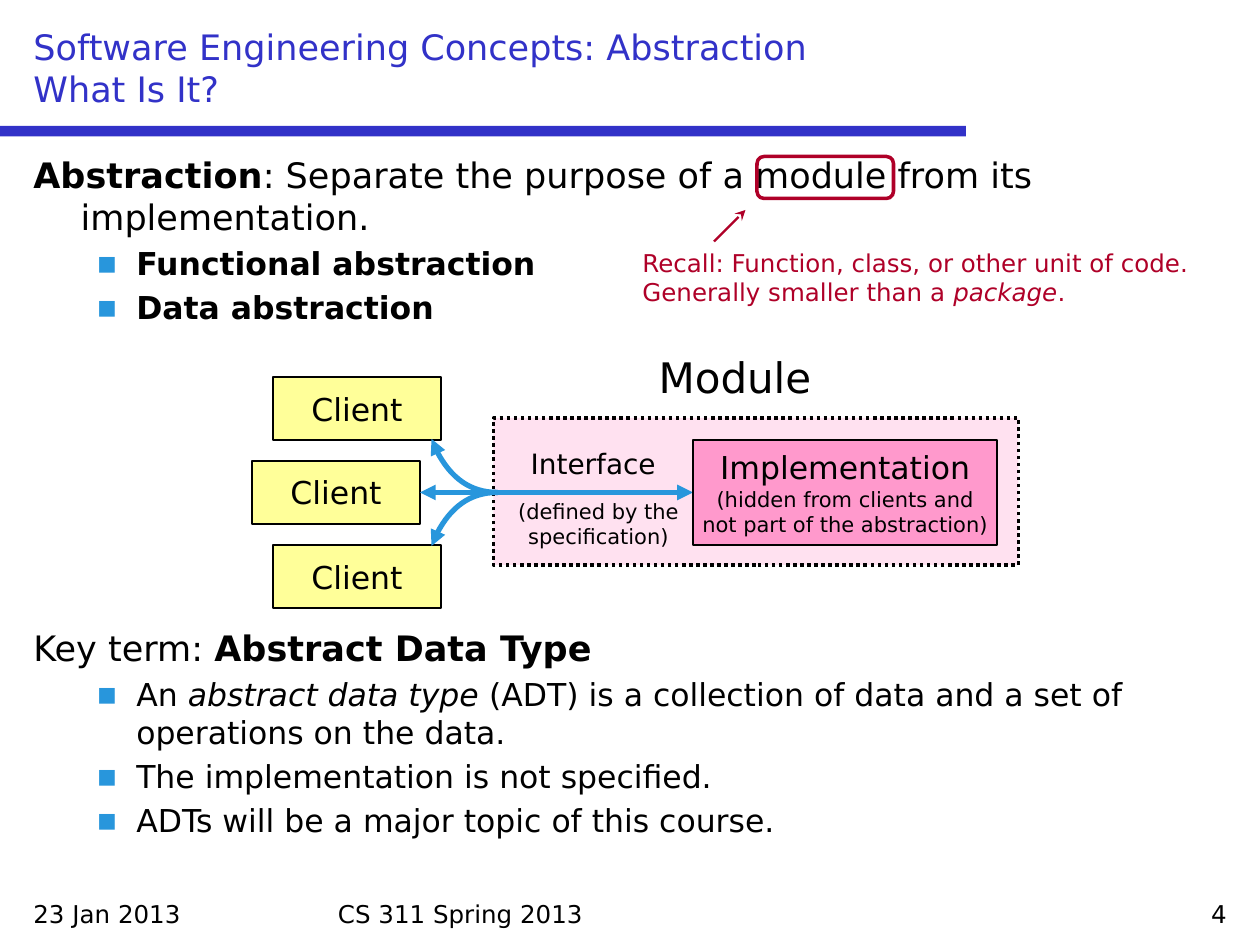
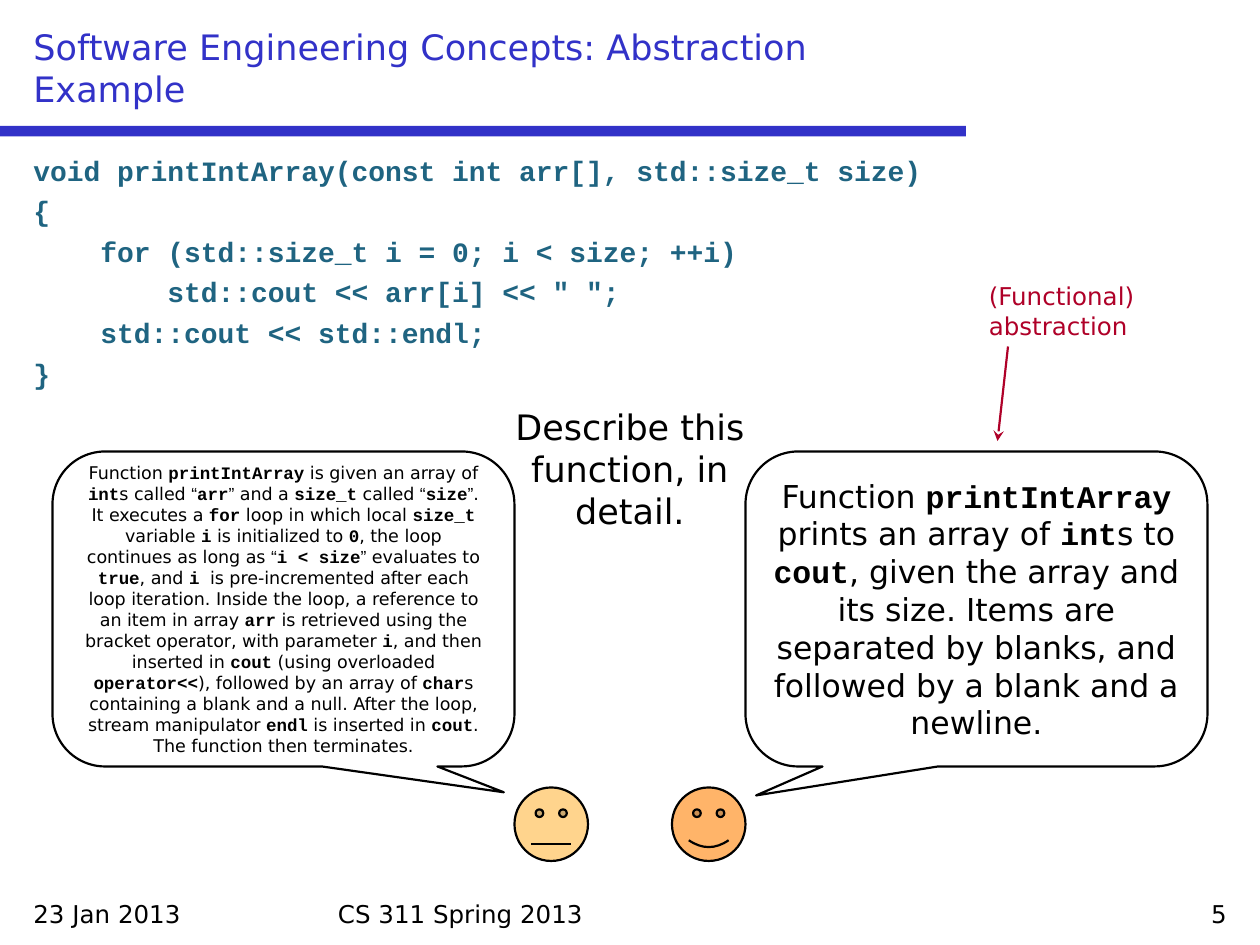
from dataclasses import dataclass
from itertools import groupby
from typing import NamedTuple, Optional

from lxml.etree import SubElement
from pptx import Presentation
from pptx.dml.color import RGBColor
from pptx.enum.dml import MSO_LINE
from pptx.enum.shapes import MSO_CONNECTOR, MSO_SHAPE
from pptx.enum.text import MSO_ANCHOR, PP_ALIGN
from pptx.oxml.ns import qn
from pptx.util import Emu, Pt

# Shared look
PX = 7620  # EMU per px, 120 px to the inch
SANS, MONO, QUOTE = "DejaVu Sans", "Courier New", "Arial"
BLACK = RGBColor(0x00, 0x00, 0x00)
TITLE_BLUE = RGBColor(0x32, 0x32, 0xC8)
SKY = RGBColor(0x28, 0x96, 0xDC)
CRIMSON = RGBColor(0xAF, 0x00, 0x28)
CODE_TEAL = RGBColor(0x1F, 0x64, 0x81)
CLIENT_YELLOW = RGBColor(0xFF, 0xFF, 0x99)
MODULE_PINK = RGBColor(0xFF, 0xE1, 0xF0)
HIDDEN_PINK = RGBColor(0xFF, 0x99, 0xCC)
BORED_FACE = RGBColor(0xFF, 0xD4, 0x8D)
HAPPY_FACE = RGBColor(0xFF, 0xB4, 0x69)


class Box(NamedTuple):
    left: int
    top: int
    width: int
    height: int


class Run(NamedTuple):
    text: str
    bold: bool = False
    italic: bool = False
    font: str = SANS
    size: Optional[float] = None


@dataclass
class Para:
    runs: list[Run]
    size: float = 20
    color: RGBColor = BLACK
    align: PP_ALIGN = PP_ALIGN.LEFT
    before: float = 0
    margin: int = 0
    hang: int = 0
    bullet: bool = False


@dataclass
class Outline:
    color: RGBColor = BLACK
    width: float = 1.25
    dash: Optional[MSO_LINE] = None


TITLE_BOX = Box(20, 20, 1160, 90)
BODY_BOX = Box(20, 140, 1160, 700)


def px(length: float) -> Emu:
    return Emu(int(length * PX))


# Text
def heading(*runs: Run, before: float = 0) -> Para:
    return Para(list(runs), before=before, margin=45, hang=45)


def bullet(*runs: Run) -> Para:
    return Para(list(runs), 18, before=3.6, margin=98, hang=38, bullet=True)


def centred(text: str, size: float) -> Para:
    return Para([Run(text)], size, align=PP_ALIGN.CENTER)


def prose(text: str) -> list[Run]:
    """Split at backticks: every second piece is code; curly quotes get their own font."""
    runs = []
    for index, piece in enumerate(text.split("`")):
        if index % 2:
            runs.append(Run(piece, bold=True, font=MONO))
            continue
        for is_quote, letters in groupby(piece, lambda letter: letter in "“”"):
            runs.append(Run("".join(letters), font=QUOTE if is_quote else SANS))
    return runs


def write(frame, paras: list[Para]) -> None:
    for index, para in enumerate(paras):
        target = frame.add_paragraph() if index else frame.paragraphs[0]
        target.alignment = para.align
        target.space_before = Pt(para.before)
        props = target._p.get_or_add_pPr()
        props.set("marL", str(px(para.margin)))
        props.set("indent", str(px(-para.hang)))
        if para.bullet:
            tint = SubElement(SubElement(props, qn("a:buClr")), qn("a:srgbClr"))
            tint.set("val", str(SKY))
            SubElement(props, qn("a:buFont")).set("typeface", SANS)
            SubElement(props, qn("a:buChar")).set("char", "▪")
        for run in para.runs:
            for line_index, line in enumerate(run.text.split("\n")):
                if line_index:
                    target.add_line_break()
                if not line:
                    continue
                piece = target.add_run()
                piece.text = line
                font = piece.font
                font.name = run.font
                font.size = Pt(run.size or para.size)
                font.bold, font.italic = run.bold, run.italic
                font.color.rgb = para.color


def add_text(slide, box: Box, *paras: Para, anchor=MSO_ANCHOR.TOP) -> None:
    frame = slide.shapes.add_textbox(*map(px, box)).text_frame
    frame.word_wrap = True
    frame.vertical_anchor = anchor
    write(frame, list(paras))


# Shapes and lines
def style(shape, fill: Optional[RGBColor], outline: Optional[Outline]) -> None:
    shape.shadow.inherit = False
    if fill is None:
        shape.fill.background()
    else:
        shape.fill.solid()
        shape.fill.fore_color.rgb = fill
    if outline is None:
        shape.line.fill.background()
        return
    shape.line.color.rgb = outline.color
    shape.line.width = Pt(outline.width)
    if outline.dash is not None:
        shape.line.dash_style = outline.dash


def add_shape(slide, preset: MSO_SHAPE, box: Box, fill: Optional[RGBColor] = None,
              outline: Optional[Outline] = None, adjust: tuple[float, ...] = (),
              label: Optional[Para] = None, wrap: bool = False) -> None:
    shape = slide.shapes.add_shape(preset, *map(px, box))
    style(shape, fill, outline)
    for index, value in enumerate(adjust):
        shape.adjustments[index] = value
    if label:
        shape.text_frame.word_wrap = wrap
        shape.text_frame.vertical_anchor = MSO_ANCHOR.MIDDLE
        write(shape.text_frame, [label])


def add_heads(shape, head: Optional[str], tail: Optional[str]) -> None:
    line = shape.line._get_or_add_ln()
    for tag, kind in (("a:headEnd", head), ("a:tailEnd", tail)):
        if kind:
            SubElement(line, qn(tag)).set("type", kind)


def add_arrow(slide, start: tuple[int, int], end: tuple[int, int], outline: Outline,
              tail: str, head: Optional[str] = None) -> None:
    arrow = slide.shapes.add_connector(MSO_CONNECTOR.STRAIGHT, *map(px, start + end))
    arrow.line.color.rgb = outline.color
    arrow.line.width = Pt(outline.width)
    add_heads(arrow, head, tail)
    SubElement(arrow._element.spPr, qn("a:effectLst"))


def add_curved_arrow(slide, points: list[tuple[int, int]], outline: Outline) -> None:
    """Draw one cubic curve: start, two control points, end."""
    start, *rest = [(px(x), px(y)) for x, y in points]
    builder = slide.shapes.build_freeform(*start)
    builder.add_line_segments(rest, close=False)
    curve = builder.convert_to_shape()
    style(curve, None, outline)
    add_heads(curve, None, "triangle")
    outline_path = next(curve._element.iter(qn("a:path")))
    segments = outline_path.findall(qn("a:lnTo"))
    cubic = SubElement(outline_path, qn("a:cubicBezTo"))
    for segment in segments:
        cubic.append(segment[0])
        outline_path.remove(segment)


# Slide frame: title, bar and footer
def start_slide(deck, title: str, number: int):
    slide = deck.slides.add_slide(deck.slide_layouts[6])
    add_shape(slide, MSO_SHAPE.RECTANGLE, Box(0, 120, 920, 10), TITLE_BLUE)
    for left, width, text, align in (
        (20, 280, "23 Jan 2013", PP_ALIGN.LEFT),
        (310, 580, "CS 311 Spring 2013", PP_ALIGN.LEFT),
        (900, 280, str(number), PP_ALIGN.RIGHT),
    ):
        add_text(slide, Box(left, 850, width, 40), Para([Run(text)], 14, align=align))
    full_title = f"Software Engineering Concepts: Abstraction\n{title}"
    add_text(slide, TITLE_BOX, Para([Run(full_title)], color=TITLE_BLUE),
             anchor=MSO_ANCHOR.BOTTOM)
    return slide


def build_definition(deck) -> None:
    slide = start_slide(deck, "What Is It?", 4)
    add_text(
        slide, BODY_BOX,
        heading(Run("Abstraction", bold=True),
                Run(": Separate the purpose of a module from its implementation.")),
        bullet(Run("Functional abstraction", bold=True)),
        bullet(Run("Data abstraction", bold=True)),
        heading(Run("Key term: "), Run("Abstract Data Type", bold=True), before=172),
        bullet(Run("An "), Run("abstract data type", italic=True),
               Run(" (ADT) is a collection of data and a set of operations on the data.")),
        bullet(Run("The implementation is not specified.")),
        bullet(Run("ADTs will be a major topic of this course.")),
    )

    # Clients reaching the module through its interface
    add_text(slide, Box(610, 329, 180, 61), centred("Module", 24))
    add_shape(slide, MSO_SHAPE.RECTANGLE, Box(470, 398, 500, 140), MODULE_PINK,
              Outline(width=2, dash=MSO_LINE.ROUND_DOT))
    for row, left in enumerate((260, 240, 260)):
        add_shape(slide, MSO_SHAPE.RECTANGLE, Box(left, 359 + 80 * row, 160, 60),
                  CLIENT_YELLOW, Outline(), label=centred("Client", 18))
    flow, axis = Outline(SKY, 3), 469
    add_arrow(slide, (400, axis), (660, axis), flow, "triangle", "triangle")
    for side in (-1, 1):
        add_curved_arrow(slide, [(474, axis), (447, axis), (422, axis + 20 * side),
                                 (411, axis + 51 * side)], flow)
    add_text(slide, Box(480, axis, 180, 61), centred("(defined by the specification)", 12))
    hidden = Para([Run("Implementation\n", size=18),
                   Run("(hidden from clients and\nnot part of the abstraction)")],
                  12, align=PP_ALIGN.CENTER)
    add_shape(slide, MSO_SHAPE.RECTANGLE, Box(660, 419, 290, 100), HIDDEN_PINK,
              Outline(), label=hidden)
    add_text(slide, Box(480, 419, 170, 44), centred("Interface", 16))

    # Reminder about modules
    reminder = [
        Run("Recall: Function, class, or other unit of code. Generally smaller than a "),
        Run("package", italic=True), Run("."),
    ]
    add_text(slide, Box(600, 230, 580, 70), Para(reminder, 14, CRIMSON))
    add_arrow(slide, (680, 230), (710, 200), Outline(CRIMSON), "stealth")
    add_shape(slide, MSO_SHAPE.ROUNDED_RECTANGLE, Box(721, 149, 130, 40),
              outline=Outline(CRIMSON, 2), adjust=(0.17,))


CODE = """void printIntArray(const int arr[], std::size_t size)
{
    for (std::size_t i = 0; i < size; ++i)
        std::cout << arr[i] << " ";
    std::cout << std::endl;
}"""

DETAILED = (
    "Function `printIntArray` is given an array of `int`s called “`arr`” and a `size_t` "
    "called “`size`”. It executes a `for` loop in which local `size_t` variable `i` is "
    "initialized to `0`, the loop continues as long as “`i < size`” evaluates to `true`, "
    "and `i `is pre-incremented after each loop iteration. Inside the loop, a reference "
    "to an item in array `arr` is retrieved using the bracket operator, with parameter "
    "`i`, and then inserted in `cout` (using overloaded `operator<<`), followed by an "
    "array of `char`s containing a blank and a null. After the loop, stream manipulator "
    "`endl` is inserted in `cout`. The function then terminates."
)
ABSTRACT = (
    "Function `printIntArray` prints an array of `int`s to `cout`, given the array and "
    "its size. Items are separated by blanks, and followed by a blank and a newline."
)


class Speaker(NamedTuple):
    face_left: int
    face: RGBColor
    smile: float
    bubble_left: int
    tip: tuple[float, float]
    speech: str
    size: float


SPEAKERS = (
    Speaker(490, BORED_FACE, 0, 50, (0.477, 0.582), DETAILED, 10),
    Speaker(640, HAPPY_FACE, 0.047, 710, (-0.477, 0.592), ABSTRACT, 18),
)


def build_example(deck) -> None:
    slide = start_slide(deck, "Example", 5)
    add_text(slide, BODY_BOX, *(
        Para([Run(line, bold=True, font=MONO)], 16, CODE_TEAL,
             before=4 if index else 0, margin=45, hang=45)
        for index, line in enumerate(CODE.split("\n"))))

    # Two descriptions of the function
    for who in SPEAKERS:
        add_shape(slide, MSO_SHAPE.SMILEY_FACE, Box(who.face_left, 750, 70, 70),
                  who.face, Outline(), (who.smile,))
        speech = Para(prose(who.speech), who.size, align=PP_ALIGN.CENTER)
        add_shape(slide, MSO_SHAPE.ROUNDED_RECTANGULAR_CALLOUT,
                  Box(who.bubble_left, 430, 440, 300), None, Outline(),
                  (*who.tip, 0.167), speech, wrap=True)
    add_text(slide, Box(450, 380, 300, 134),
             centred("Describe this function, in detail.", 20))
    add_text(slide, Box(930, 262, 170, 70),
             Para([Run("(Functional)\nabstraction")], 14, CRIMSON))
    add_arrow(slide, (960, 330), (950, 420), Outline(CRIMSON), "stealth")


def main() -> None:
    deck = Presentation()
    deck.slide_width, deck.slide_height = px(1200), px(900)
    build_definition(deck)
    build_example(deck)
    deck.save("out.pptx")


if __name__ == "__main__":
    main()
